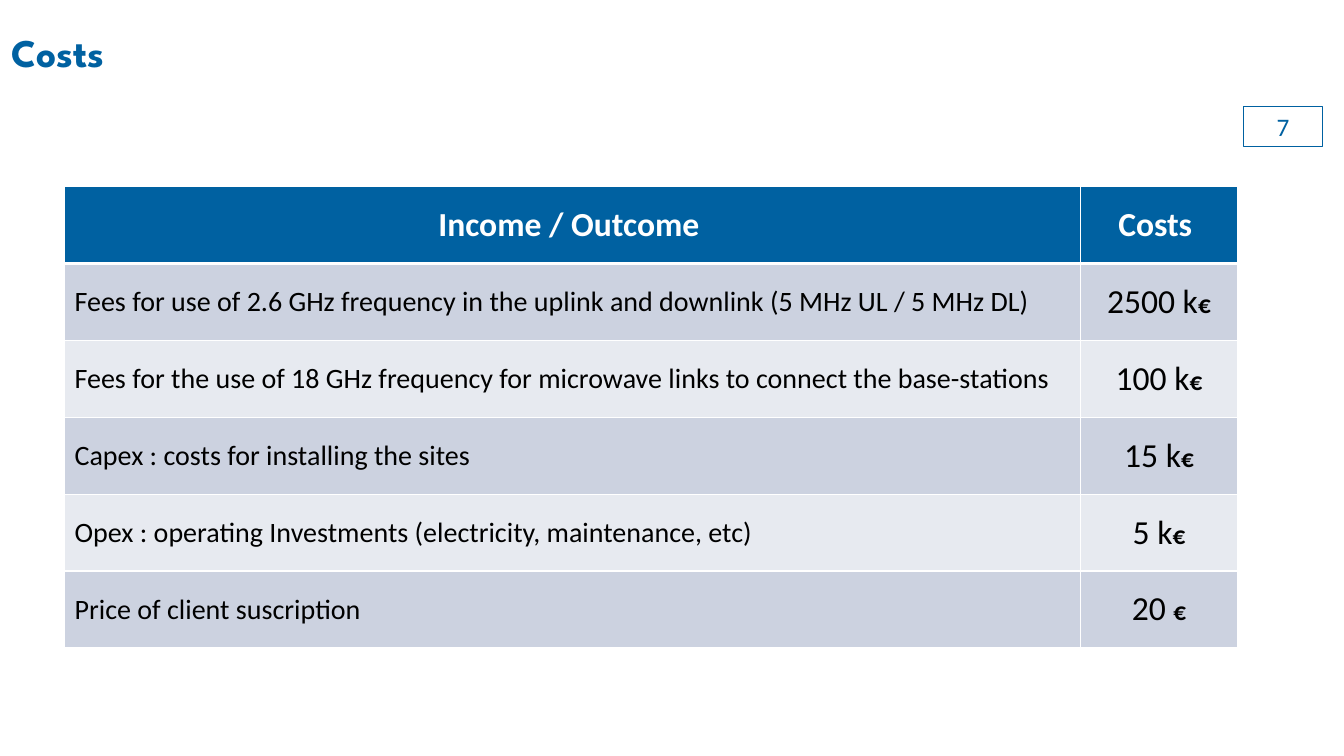
from dataclasses import dataclass
from lxml.etree import SubElement
from pptx import Presentation
from pptx.dml.color import RGBColor
from pptx.enum.shapes import MSO_SHAPE as SHAPE
from pptx.enum.text import MSO_ANCHOR as ANCHOR, PP_ALIGN as ALIGN
from pptx.oxml.ns import qn
from pptx.util import Inches, Pt

TITLE = "Costs"
PAGE = "7"
HEADER = ("Income / Outcome ", "Costs ")
COSTS = [
    ("Fees for use of 2.6 GHz frequency in the uplink and downlink (5 MHz UL / 5 MHz DL)", "2500 k"),
    ("Fees for the use of 18 GHz frequency for microwave links to connect the base-stations", "100 k"),
    ("Capex : costs for installing the sites", "15 k"),
    ("Opex : operating Investments (electricity, maintenance, etc)", "5 k"),
    ("Price of client suscription", "20 "),
]
CURRENCY = "€"
COL_WIDTHS = (10.08, 1.55)
TABLE_HEIGHT = 4.58


@dataclass(frozen=True)
class Theme:
    blue: str = "0061A1"
    white: str = "FFFFFF"
    black: str = "000000"
    bands: tuple = ("CCD2E0", "E7EAF0")
    body_font: str = "Calibri"
    title_font: str = "League Spartan"
    title: int = 28
    large: int = 24
    label: int = 20
    small: int = 18


theme = Theme()


def add_run(p, text, size, color, bold=False, name=theme.body_font):
    r = p.add_run()
    r.text = text
    for key, value in {"size": Pt(size), "bold": bold, "name": name}.items():
        setattr(r.font, key, value)
    r.font.color.rgb = RGBColor.from_string(color)


def set_borders(cell, widths):
    tc_pr = cell._tc.get_or_add_tcPr()
    for side, width in zip("LRTB", widths):
        ln = SubElement(tc_pr, qn(f"a:ln{side}"), w=str(Pt(width)))
        fill = SubElement(ln, qn("a:solidFill"))
        SubElement(fill, qn("a:srgbClr"), val=theme.white)


def fill_cell(cell, runs, align, fill, borders):
    set_borders(cell, borders)
    cell.fill.solid()
    cell.fill.fore_color.rgb = RGBColor.from_string(fill)
    cell.vertical_anchor = ANCHOR.MIDDLE
    p = cell.text_frame.paragraphs[0]
    p.alignment = align
    for run in runs:
        add_run(p, *run)


def add_title(s):
    sp = s.shapes.title
    box = {"left": 0.11, "top": 0.17, "width": 11.45, "height": 0.74}
    for key, value in box.items():
        setattr(sp, key, Inches(value))
    tf = sp.text_frame
    for side in ("left", "top", "right", "bottom"):
        setattr(tf, f"margin_{side}", 0)
    tf.vertical_anchor = ANCHOR.MIDDLE
    p = tf.paragraphs[0]
    p.alignment, p.line_spacing = ALIGN.LEFT, 0.9
    add_run(p, TITLE, theme.title, theme.blue, True, theme.title_font)


def add_costs(s):
    rows = len(COSTS) + 1
    frame = s.shapes.add_table(rows, len(HEADER), Inches(0.64), Inches(1.85),
                               Inches(sum(COL_WIDTHS)), Inches(TABLE_HEIGHT))
    table = frame.table
    for column, width in zip(table.columns, COL_WIDTHS):
        column.width = Inches(width)
    for row in table.rows:
        row.height = Inches(TABLE_HEIGHT / rows)
    for c, text in enumerate(HEADER):
        fill_cell(table.cell(0, c), [(text, theme.large, theme.white, True)],
                  ALIGN.CENTER, theme.blue, (1, 1, 1, 3))
    for i, (label, amount) in enumerate(COSTS):
        band = theme.bands[i % 2]
        borders = (1, 1, 1 if i else 3, 1)
        fill_cell(table.cell(i + 1, 0), [(label, theme.label, theme.black)],
                  ALIGN.JUSTIFY, band, borders)
        price = [(amount, theme.large, theme.black), (CURRENCY, theme.small, theme.black, True)]
        fill_cell(table.cell(i + 1, 1), price, ALIGN.CENTER, band, borders)


def add_page_number(s):
    sp = s.shapes.add_shape(SHAPE.RECTANGLE, Inches(12.33), Inches(1.06), Inches(0.79), Inches(0.39))
    sp.shadow.inherit = False
    sp.fill.background()
    sp.line.color.rgb = RGBColor.from_string(theme.blue)
    sp.line.width = Pt(0.75)
    tf = sp.text_frame
    tf.vertical_anchor = ANCHOR.MIDDLE
    p = tf.paragraphs[0]
    p.alignment = ALIGN.CENTER
    add_run(p, PAGE, theme.small, theme.blue)


def main():
    prs = Presentation()
    prs.slide_width, prs.slide_height = Inches(13.33), Inches(7.5)
    s = prs.slides.add_slide(prs.slide_layouts[5])
    add_title(s)
    add_costs(s)
    add_page_number(s)
    prs.save("out.pptx")


if __name__ == "__main__":
    main()
